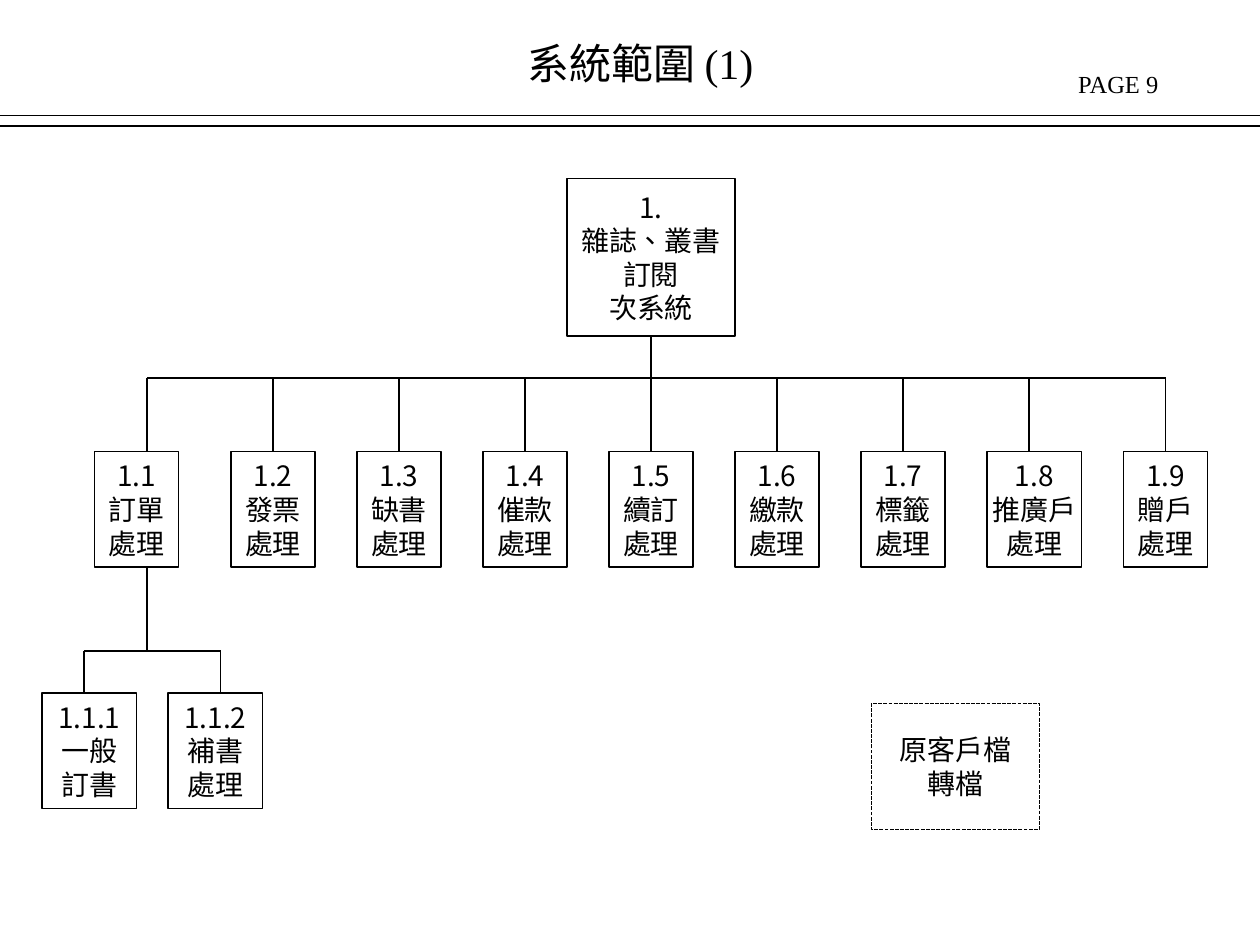
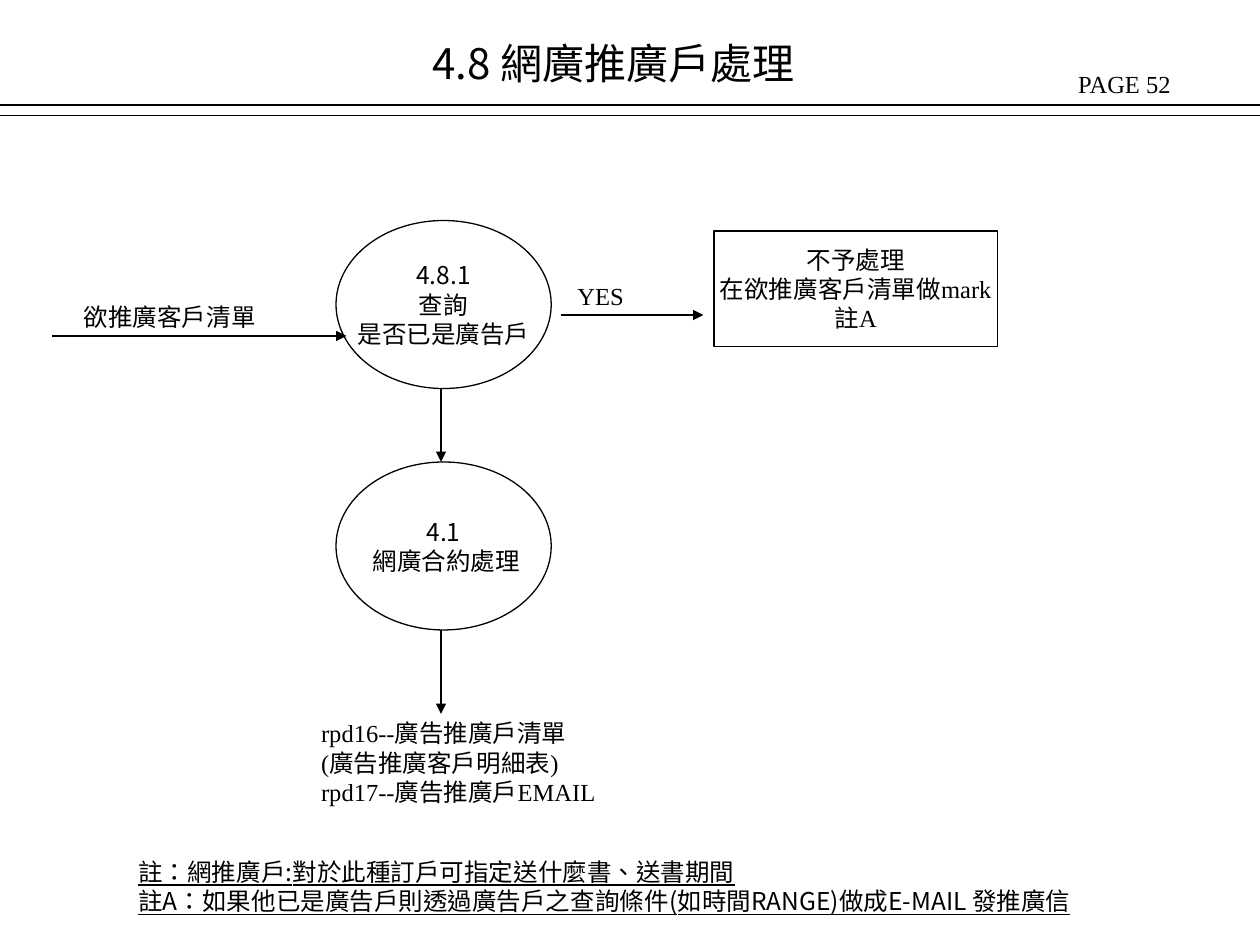
import pptx
import pptx.dml.color
import pptx.enum.dml
import pptx.enum.shapes
import pptx.enum.text
import pptx.oxml
import pptx.oxml.ns
import pptx.util

PX = 7620
WIDTH, HEIGHT = 1200, 900
COLORS = {"ink": "000000"}
SERIF, SANS_SC, SANS_TC = "Times New Roman", "Noto Sans CJK SC", "Noto Sans CJK TC"
SHAPE = pptx.enum.shapes.MSO_SHAPE
ALIGN = pptx.enum.text.PP_ALIGN
ANCHOR = pptx.enum.text.MSO_ANCHOR
FIT = pptx.enum.text.MSO_AUTO_SIZE


def emu(*lengths):
    """Turn px lengths into EMU."""
    return [pptx.util.Emu(n * PX) for n in lengths]


def ink():
    """Return the drawing colour."""
    return pptx.dml.color.RGBColor.from_string(COLORS["ink"])


def write(tf, lines, size, font, align=ALIGN.LEFT, underline=None):
    """Fill a text frame with one Traditional Chinese paragraph per line."""
    tf.text = "\n".join(lines)
    for p in tf.paragraphs:
        p.alignment = align
        p.font.size = pptx.util.Pt(size)
        p.font.name = font
        p.font.underline = underline
        p.font.color.rgb = ink()
        east = SANS_TC if font == SERIF else font
        latin = p._p.pPr.find(".//" + pptx.oxml.ns.qn("a:latin"))
        latin.addnext(pptx.oxml.parse_xml(
            f'<a:ea {pptx.oxml.ns.nsdecls("a")} typeface="{east}"/>'))
        for r in p.runs:
            r._r.get_or_add_rPr().set("lang", "zh-TW")


def label(slide, box, lines, font=SERIF, wrap=False, underline=None):
    """Add a plain 14 pt text box."""
    tf = slide.shapes.add_textbox(*emu(*box)).text_frame
    tf.word_wrap = wrap
    tf.auto_size = FIT.SHAPE_TO_FIT_TEXT
    write(tf, lines, 14, font, underline=underline)


def node(slide, box, lines, size, font, kind=SHAPE.RECTANGLE):
    """Add an outlined shape with centred text."""
    sp = slide.shapes.add_shape(kind, *emu(*box))
    sp.shadow.inherit = False
    sp.fill.background()
    sp.line.color.rgb = ink()
    sp.line.width = pptx.util.Pt(0.75)
    tf = sp.text_frame
    tf.word_wrap = False
    tf.vertical_anchor = ANCHOR.MIDDLE
    write(tf, lines, size, font, ALIGN.CENTER)
    return sp


def line(slide, x1, y1, x2, y2, arrow=False):
    """Add a straight line, with an arrowhead at its end if asked."""
    cx = slide.shapes.add_connector(
        pptx.enum.shapes.MSO_CONNECTOR.STRAIGHT, *emu(x1, y1, x2, y2))
    cx.line.color.rgb = ink()
    cx.line.width = pptx.util.Pt(0.75)
    ns = pptx.oxml.ns.nsdecls("a")
    if arrow:
        cx.line._get_or_add_ln().append(
            pptx.oxml.parse_xml(f'<a:tailEnd {ns} type="triangle"/>'))
    cx._element.spPr.append(pptx.oxml.parse_xml(f"<a:effectLst {ns}/>"))
    return cx


def middle(sp):
    """Return the horizontal centre of a shape."""
    return sp.left + sp.width // 2


def header(slide, box, title, font, page, rule_y):
    """Place the title, the page label and the double rule."""
    sp = slide.shapes.title
    sp.left, sp.top, sp.width, sp.height = emu(*box)
    tf = sp.text_frame
    tf.word_wrap = True
    tf.auto_size = FIT.NONE
    tf.vertical_anchor = ANCHOR.TOP
    write(tf, [title], 24, font)
    label(slide, (1015, 60, 188, 41), [f"PAGE {page}"])
    for y in (rule_y, rule_y + 10):
        line(slide, 0, y, WIDTH, y)


def branch(slide, parent, stem_x, bus_y, top, height, children):
    """Hang a row of (left, width, drop x, lines) boxes under a parent box."""
    drops = [drop for _, _, drop, _ in children]
    stem = line(slide, stem_x, (parent.top + parent.height) // PX, stem_x, bus_y)
    if middle(parent) == stem_x * PX:
        stem.begin_connect(parent, 2)
    line(slide, drops[0], bus_y, drops[-1], bus_y)
    boxes = []
    for left, width, drop, lines in children:
        sp = node(slide, (left, top, width, height), lines, 16, SANS_SC)
        cx = line(slide, drop, bus_y, drop, top)
        if middle(sp) == drop * PX:
            cx.end_connect(sp, 0)
        boxes.append(sp)
    return boxes


def scope_slide(slide):
    """Build the system scope tree."""
    header(slide, (490, 30, 330, 60), "系統範圍 (1)", SERIF, 9, 110)
    root = node(slide, (540, 170, 160, 150),
                ["1.", "雜誌、叢書", "訂閱", "次系統"], 16, SANS_SC)
    names = ["訂單", "發票", "缺書", "催款", "續訂", "繳款", "標籤", "推廣戶", "贈戶"]
    shifted = {0: (90, 80, 140), 7: (940, 90, 980), 8: (1070, 80, 1110)}
    tasks = [(*shifted.get(i, (100 + 120 * i, 80, 140 + 120 * i)),
              [f"1.{i + 1}", name, "處理"]) for i, name in enumerate(names)]
    orders = branch(slide, root, 620, 360, 430, 110, tasks)[0]
    branch(slide, orders, 140, 620, 660, 110,
           [(40, 90, 80, ["1.1.1", "一般", "訂書"]),
            (160, 90, 210, ["1.1.2", "補書", "處理"])])
    transfer = node(slide, (830, 670, 160, 120), ["原客戶檔", "轉檔"], 16, SANS_SC)
    transfer.line.dash_style = pptx.enum.dml.MSO_LINE.SQUARE_DOT


def flow(slide, x, y):
    """Draw the query flow from its top left corner."""
    steps = [["4.8.1", "查詢", "是否已是廣告戶"], ["4.1", " 網廣合約處理"]]
    for i, (lines, drop) in enumerate(zip(steps, (70, 80))):
        top = y + 230 * i
        node(slide, (x, top, 205, 160), lines, 14, SANS_TC, SHAPE.OVAL)
        line(slide, x + 100, top + 160, x + 100, top + 160 + drop, True)
    line(slide, x - 270, y + 110, x + 10, y + 110, True)
    label(slide, (x - 252, y + 72, 220, 41), ["欲推廣客戶清單"])
    line(slide, x + 214, y + 90, x + 350, y + 90, True)
    label(slide, (x + 218, y + 52, 80, 41), ["YES"])
    node(slide, (x + 360, y + 10, 270, 110),
         ["不予處理", "在欲推廣客戶清單做mark", "註A"], 14, SERIF)
    label(slide, (x - 26, y + 468, 340, 97),
          ["rpd16--廣告推廣戶清單", "(廣告推廣客戶明細表)", "rpd17--廣告推廣戶EMAIL"])


def promotion_slide(slide):
    """Build the promotion account flow with its notes."""
    header(slide, (400, 30, 480, 60), "4.8 網廣推廣戶處理", SANS_TC, 52, 100)
    flow(slide, 320, 210)
    label(slide, (120, 810, 1010, 68),
          ["註：網推廣戶:對於此種訂戶可指定送什麼書、送書期間",
           "註A：如果他已是廣告戶則透過廣告戶之查詢條件(如時間RANGE)做成E-MAIL 發推廣信"],
          SANS_TC, True, True)


def main():
    """Build and save the presentation."""
    prs = pptx.Presentation()
    prs.slide_width, prs.slide_height = emu(WIDTH, HEIGHT)
    for build in (scope_slide, promotion_slide):
        build(prs.slides.add_slide(prs.slide_layouts[5]))
    prs.save("out.pptx")


if __name__ == "__main__":
    main()
